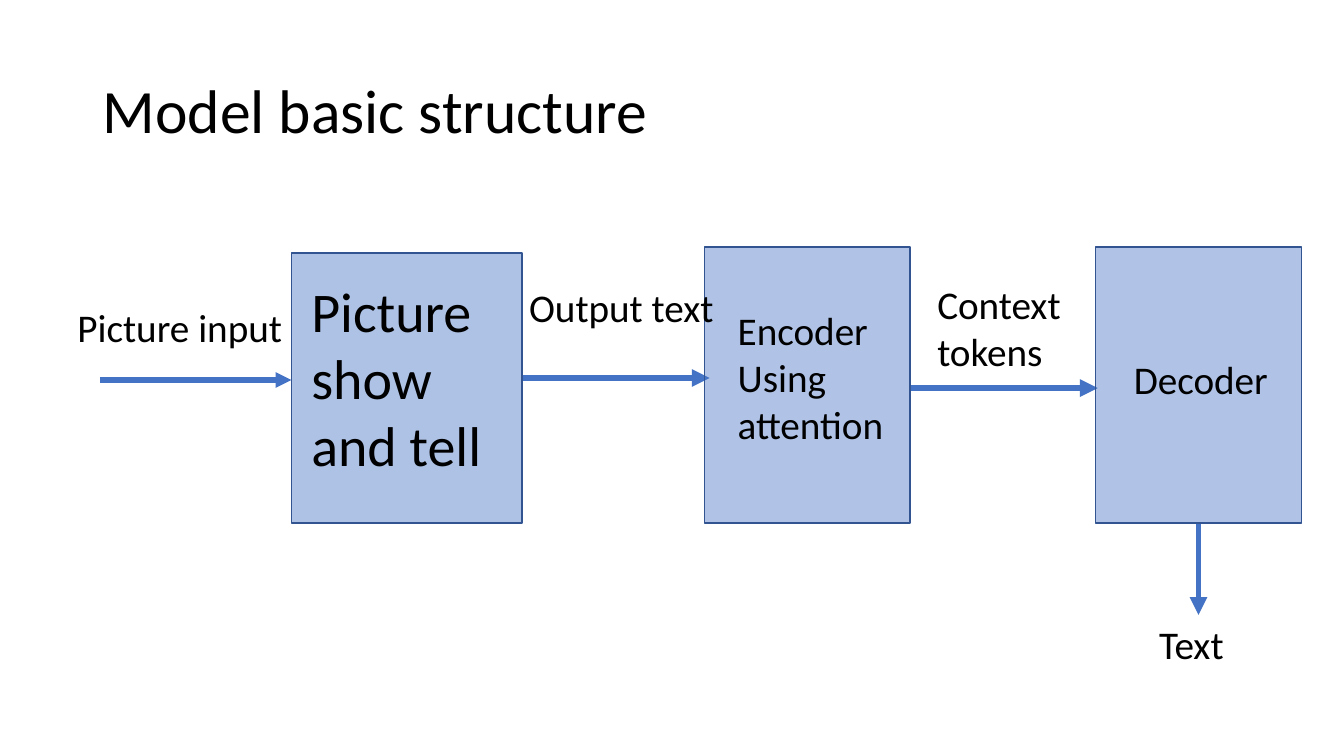
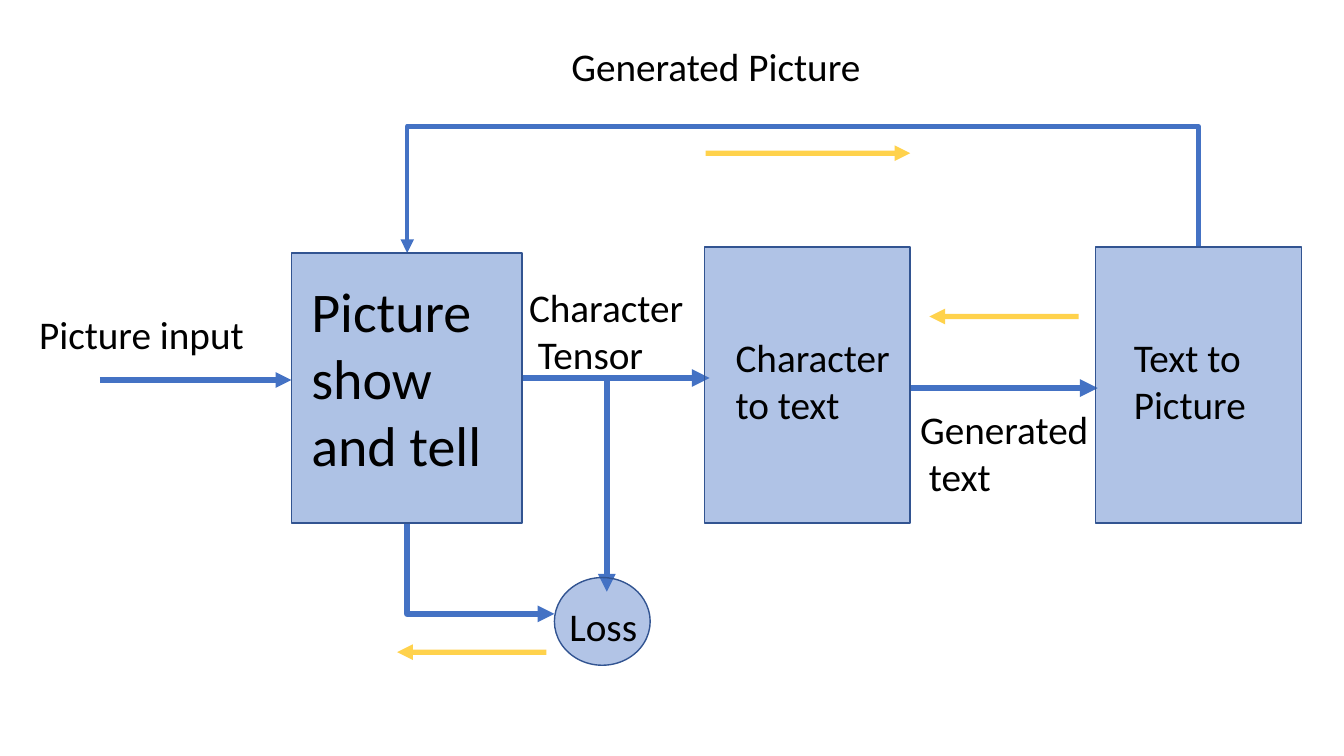
"""Build two slides that show the structure of a picture-to-text model."""
from dataclasses import dataclass

from lxml import etree
from pptx import Presentation
from pptx.dml.color import RGBColor
from pptx.enum.shapes import MSO_CONNECTOR, MSO_SHAPE
from pptx.enum.text import MSO_ANCHOR, MSO_AUTO_SIZE, PP_ALIGN
from pptx.oxml.ns import qn
from pptx.slide import Slide
from pptx.text.text import TextFrame
from pptx.util import Emu, Inches, Pt

RECT, OVAL = MSO_SHAPE.RECTANGLE, MSO_SHAPE.OVAL
STRAIGHT, ELBOW = MSO_CONNECTOR.STRAIGHT, MSO_CONNECTOR.ELBOW
MIDDLE, TOP = MSO_ANCHOR.MIDDLE, MSO_ANCHOR.TOP
LEFT, FIT, FIXED = PP_ALIGN.LEFT, MSO_AUTO_SIZE.SHAPE_TO_FIT_TEXT, MSO_AUTO_SIZE.NONE

FONT = "Calibri"
BLUE, NAVY, GOLD, BLACK = "4472C4", "325491", "FFC000", "000000"
COLS, ROWS = 133.33, 75
TITLE_ONLY, BLANK = 5, 6


@dataclass(frozen=True)
class Block:
    """A translucent box or circle, in grid units."""
    left: float
    top: float
    width: float
    height: float
    opacity: int = 42
    kind: MSO_SHAPE = RECT


@dataclass(frozen=True)
class Label:
    """A text box with one paragraph per line, in grid units."""
    left: float
    top: float
    width: float
    lines: tuple[str, ...]
    height: float = 5.7
    size: int = 28


@dataclass(frozen=True)
class Arrow:
    """A straight arrow between two grid points."""
    start: tuple[float, float]
    end: tuple[float, float]
    weight: float = 4.25
    color: str = BLUE
    opacity: int = 100


@dataclass(frozen=True)
class Bend(Arrow):
    """An arrow that leaves vertically and turns once, or twice at a given row."""
    turn_row: float | None = None


ENCODE = Block(69.9, 24.5, 20.4, 27.4)
DECODE = Block(108.7, 24.5, 20.4, 27.4)
TELL = Block(28.9, 25.1, 22.9, 26.8, 43)
LOSS = Block(55, 57.3, 9.5, 8.7, 41, OVAL)
TELL_MID = 40.4
DECODE_MID = DECODE.left + DECODE.width / 2
BOTTOM = ENCODE.top + ENCODE.height

FLOW = (
    Arrow((9.9, 37.7), (28.9, 37.7), 3.75),
    Arrow((51.8, 37.5), (70.4, 37.5)),
    Arrow((90.3, 38.5), (108.9, 38.5)),
)
STAGES = (TELL, ENCODE, DECODE)
TELL_LABEL = Label(29.9, 26.9, 21.9, ("Picture show and tell",), 21.2, 40)

STRUCTURE = (
    *FLOW,
    Arrow((DECODE_MID, BOTTOM), (DECODE_MID, 61)),
    *STAGES,
    TELL_LABEL,
    Label(6.7, 29.6, 30.6, ("Picture input",)),
    Label(72.2, 29.9, 18.4, ("Encoder", "Using attention"), 15.1),
    Label(51.5, 27.6, 21.9, ("Output text",)),
    Label(92, 27.3, 20.4, ("Context", "tokens"), 10.4),
    Label(111.5, 34.8, 18.4, ("Decoder",)),
    Label(114, 61, 20.4, ("Text",)),
)
TRAINING = (
    *FLOW,
    Arrow((60.2, 37.5), (60.2, 58.7)),
    Bend((DECODE_MID, DECODE.top), (TELL_MID, TELL.top), 3.25, turn_row=12.5),
    Bend((TELL_MID, BOTTOM), (LOSS.left, 60.9), 4),
    *STAGES,
    LOSS,
    TELL_LABEL,
    Label(2.9, 30.3, 30.6, ("Picture input",)),
    Label(72, 32.6, 18.4, ("Character to text",), 10.4),
    Label(55.7, 3.7, 38.3, ("Generated Picture",)),
    Label(51.5, 27.6, 25.1, ("Character", " Tensor"), 10.4),
    Label(90.3, 39.7, 20.4, ("Generated", " text"), 10.4),
    Label(111.5, 32.6, 18.4, ("Text to Picture",), 10.4),
    Label(55.5, 59.3, 9.5, ("Loss",)),
    Arrow((70, 15.2), (90.3, 15.2), 3.75, GOLD, 70),
    Arrow((107, 31.4), (92.2, 31.4), 3.75, GOLD, 70),
    Arrow((54.2, 64.7), (39.4, 64.7), 3.75, GOLD, 70),
)


def unit(n: float) -> Emu:
    """Turn grid units of a tenth of an inch into a length."""
    return Inches(n / 10)


def rgb(color: str) -> RGBColor:
    """Turn a hex string into a colour."""
    return RGBColor.from_string(color)


def set_opacity(parent: etree._Element, percent: int) -> None:
    """Make the solid colour under an element translucent."""
    clr = next(parent.iter(qn("a:srgbClr")))
    etree.SubElement(clr, qn("a:alpha"), val=str(percent * 1000))


def write(tf: TextFrame, lines: tuple[str, ...], size: int,
          anchor: MSO_ANCHOR = TOP, spacing: float = 1.0) -> None:
    """Fill a text frame with left-aligned paragraphs."""
    tf.word_wrap = True
    tf.vertical_anchor = anchor
    for i, line in enumerate(lines):
        p = tf.add_paragraph() if i else tf.paragraphs[0]
        p.alignment, p.line_spacing = LEFT, spacing
        r = p.add_run()
        r.text = line
        r.font.name, r.font.size = FONT, Pt(size)
        r.font.color.rgb = rgb(BLACK)


def draw_block(s: Slide, b: Block) -> None:
    """Draw a stage of the model."""
    sp = s.shapes.add_shape(b.kind, *map(unit, (b.left, b.top, b.width, b.height)))
    sp.shadow.inherit = False
    sp.fill.solid()
    sp.fill.fore_color.rgb = rgb(BLUE)
    set_opacity(sp.element.spPr.find(qn("a:solidFill")), b.opacity)
    sp.line.color.rgb = rgb(NAVY)
    sp.line.width = Pt(1)


def draw_label(s: Slide, b: Label) -> None:
    """Draw a text label."""
    sp = s.shapes.add_textbox(*map(unit, (b.left, b.top, b.width, b.height)))
    write(sp.text_frame, b.lines, b.size)
    sp.text_frame.auto_size = FIT


def draw_arrow(s: Slide, a: Arrow) -> None:
    """Draw a straight or bent arrow."""
    (x1, y1), (x2, y2) = a.start, a.end
    bent = isinstance(a, Bend)
    ends = (x1, y1, x2, y2)
    if bent:
        cx, cy = (x1 + x2) / 2, (y1 + y2) / 2
        ends = (cx + cy - y1, cy + x1 - cx, cx + cy - y2, cy + x2 - cx)
    c = s.shapes.add_connector(ELBOW if bent else STRAIGHT, *map(unit, ends))
    c.line.color.rgb = rgb(a.color)
    c.line.width = Pt(a.weight)
    props = c.element.spPr
    ln = props.find(qn("a:ln"))
    if a.opacity < 100:
        set_opacity(ln, a.opacity)
    etree.SubElement(ln, qn("a:tailEnd"), type="triangle")
    etree.SubElement(props, qn("a:effectLst"))
    if bent:
        props.find(qn("a:xfrm")).set("rot", str(270 * 60000))
        geom = props.find(qn("a:prstGeom"))
        if a.turn_row is None:
            geom.set("prst", "bentConnector2")
        else:
            share = round((a.turn_row - y1) / (y2 - y1) * 100000)
            etree.SubElement(geom.find(qn("a:avLst")), qn("a:gd"),
                             name="adj1", fmla=f"val {share}")


def draw(s: Slide, items: tuple[Block | Label | Arrow, ...]) -> None:
    """Draw the items from back to front."""
    for item in items:
        if isinstance(item, Block):
            draw_block(s, item)
        elif isinstance(item, Label):
            draw_label(s, item)
        else:
            draw_arrow(s, item)


def add_title(s: Slide, text: str) -> None:
    """Place and format the title placeholder."""
    sp = s.shapes.title
    sp.left, sp.top, sp.width, sp.height = map(unit, (9.2, 4, 115, 14.5))
    write(sp.text_frame, (text,), 44, MIDDLE, 0.9)
    sp.text_frame.auto_size = FIXED


def main() -> None:
    """Build and save the presentation."""
    prs = Presentation()
    prs.slide_width, prs.slide_height = unit(COLS), unit(ROWS)
    s = prs.slides.add_slide(prs.slide_layouts[TITLE_ONLY])
    add_title(s, "Model basic structure")
    draw(s, STRUCTURE)
    s = prs.slides.add_slide(prs.slide_layouts[BLANK])
    draw(s, TRAINING)
    prs.save("out.pptx")


main()
